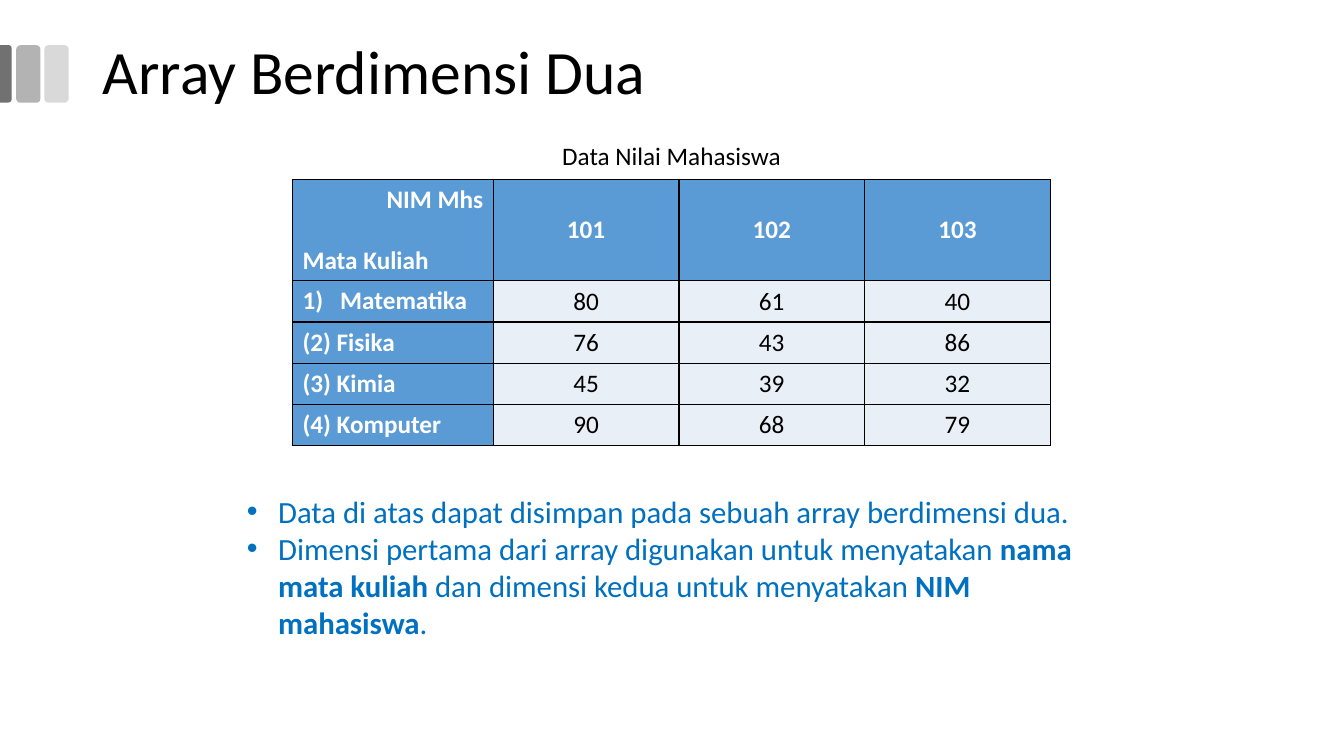
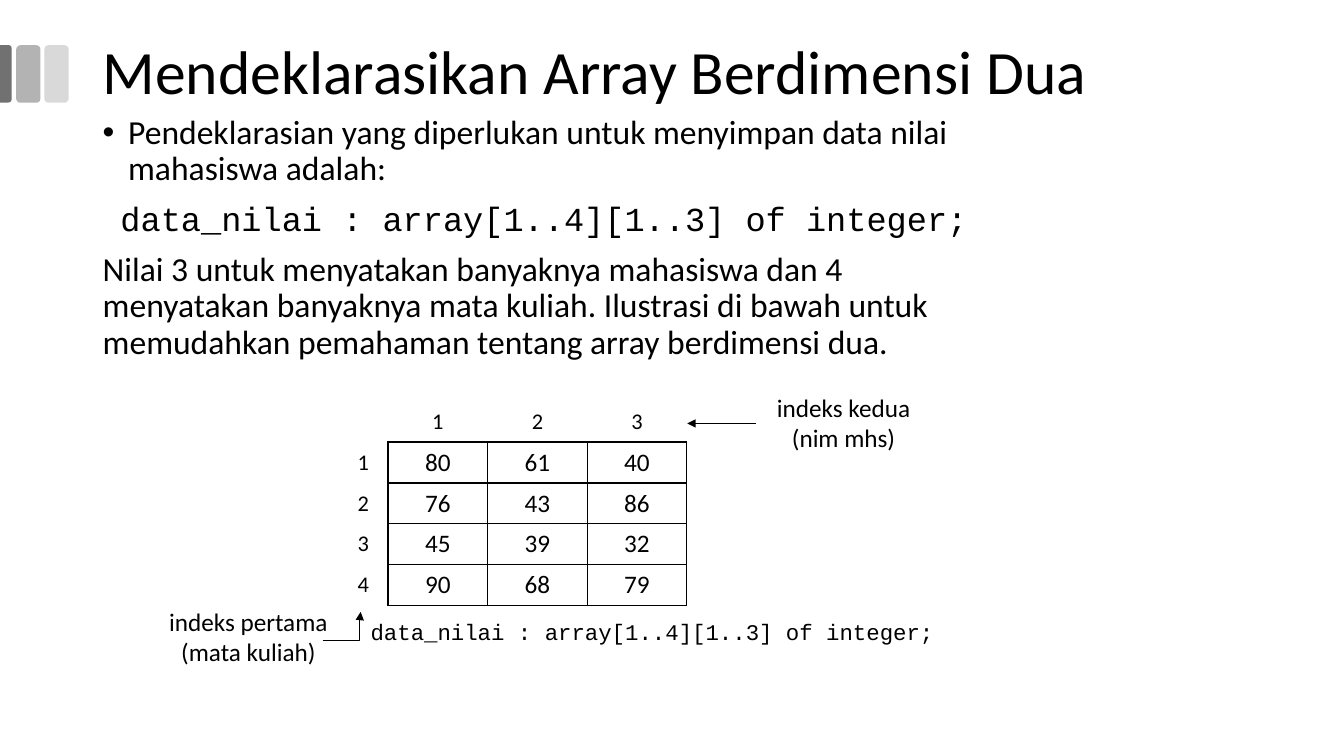
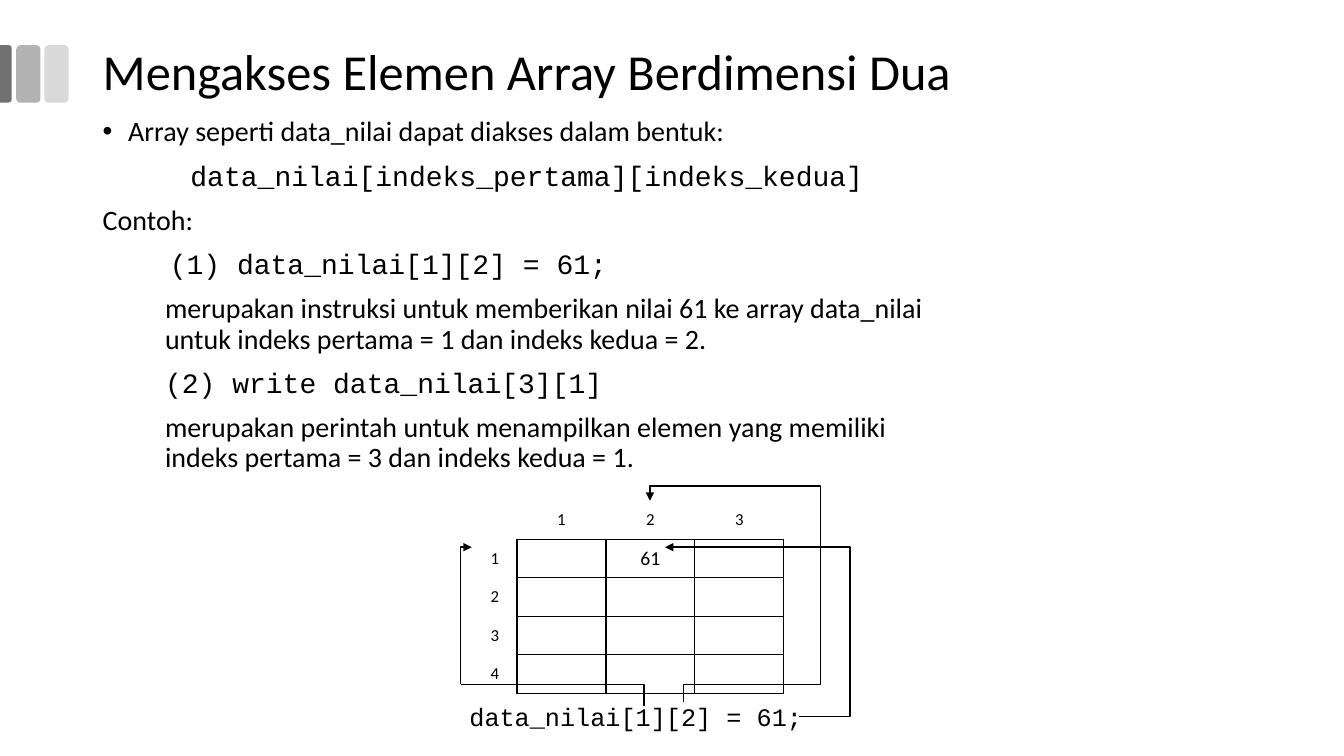
from lxml import etree
from pptx import Presentation
from pptx.dml.color import RGBColor
from pptx.enum.shapes import MSO_CONNECTOR, MSO_SHAPE
from pptx.enum.text import MSO_ANCHOR, PP_ALIGN
from pptx.oxml.ns import qn
from pptx.util import Cm, Pt

LEFT, MID, RIGHT = PP_ALIGN.LEFT, PP_ALIGN.CENTER, PP_ALIGN.RIGHT
TOP, CENTER = MSO_ANCHOR.TOP, MSO_ANCHOR.MIDDLE
STRAIGHT, ELBOW = MSO_CONNECTOR.STRAIGHT, MSO_CONNECTOR.ELBOW
ROUND, HALF = MSO_SHAPE.ROUNDED_RECTANGLE, MSO_SHAPE.ROUND_2_SAME_RECTANGLE

SANS, MONO = "Calibri", "Courier New"
BLACK, WHITE, BLUE = "000000", "FFFFFF", "0070C0"
HEAD, PALE = "5B9BD5", "E9EFF7"
DOT = ("buChar", "char", "•")
NUM = ("buAutoNum", "type", "arabicParenR")

# Content
TITLES = [
    ("Array Berdimensi Dua", 44),
    ("Mendeklarasikan Array Berdimensi Dua", 44),
    ("Mengakses Elemen Array Berdimensi Dua", 36),
]
NIMS = ["101", "102", "103"]
COURSES = ["Matematika", "(2) Fisika", "(3) Kimia", "(4) Komputer"]
SCORES = [[80, 61, 40], [76, 43, 86], [45, 39, 32], [90, 68, 79]]
ONE = [["", 61, ""]] + [["", "", ""]] * 3
DECL = "data_nilai : array[1..4][1..3] of integer;"

# Each paragraph: its runs, then its format
NOTES = [
    (["Data di atas dapat disimpan pada sebuah array berdimensi dua."], {}),
    (["Dimensi pertama dari array digunakan untuk menyatakan ",
      ("nama mata kuliah ", True),
      "dan dimensi kedua untuk menyatakan ",
      ("NIM mahasiswa", True), "."], {}),
]
DECLARE = [
    (["Pendeklarasian yang diperlukan untuk menyimpan data nilai mahasiswa adalah:"],
     dict(mark=DOT, hang=0.64)),
    ([DECL], dict(font=MONO, align=MID)),
    (["Nilai 3 untuk menyatakan banyaknya mahasiswa dan 4 menyatakan banyaknya "
      "mata kuliah. Ilustrasi di bawah untuk memudahkan pemahaman tentang "
      "array berdimensi dua."], {}),
]
ACCESS = [
    (["Array seperti data_nilai dapat diakses dalam bentuk:"],
     dict(mark=DOT, hang=0.64)),
    (["data_nilai[indeks_pertama][indeks_kedua]"], dict(font=MONO, align=MID)),
    (["Contoh:"], {}),
    (["(1) data_nilai[1][2] = 61;"], dict(font=MONO, indent=1.69)),
    (["merupakan instruksi untuk memberikan nilai 61 ke array data_nilai "
      "untuk indeks pertama = 1 dan indeks kedua = 2."], dict(indent=1.57)),
    (["(2) write data_nilai[3][1]"], dict(font=MONO, indent=1.57)),
    (["merupakan perintah untuk menampilkan elemen yang memiliki "
      "indeks pertama = 3 dan indeks kedua = 1."], dict(indent=1.57)),
]
FIRST = [(["indeks pertama"], {}), (["(mata kuliah)"], {})]
SECOND = [(["indeks kedua"], {}), (["(nim mhs)"], {})]

# Elbow arrows of the access slide: start, end, bend, arrowhead, upright
PATHS = [
    ((16.23, 17.78), (11.61, 17.25), 0, False, False),
    ((11.61, 17.25), (11.89, 13.79), 0, True, False),
    ((17.22, 17.68), (20.68, 17.25), 0, False, False),
    ((20.68, 17.25), (16.38, 12.62), 1.08, True, True),
    ((20.14, 18.06), (16.76, 13.79), -0.38, True, False),
]


def rgb(code):
    return RGBColor.from_string(code)


def sub(node, tag, **attrs):
    return etree.SubElement(node, qn("a:" + tag), attrs)


def write(frame, paras, **base):
    """Fill a text frame; base holds the format its paragraphs share."""
    for i, (runs, own) in enumerate(paras):
        opt = {**base, **own}
        para = frame.paragraphs[0] if i == 0 else frame.add_paragraph()
        para.alignment = opt.get("align", LEFT)
        para.line_spacing = opt.get("line", 1.0)
        para.space_before = Pt(opt.get("before", 0))
        hang = opt.get("hang", 0)
        props = para._p.get_or_add_pPr()
        props.set("marL", str(Cm(opt.get("indent", hang))))
        props.set("indent", str(-Cm(hang)))
        if "mark" in opt:
            tag, key, val = opt["mark"]
            sub(props, "buFont", typeface="Arial" if tag == "buChar" else SANS)
            sub(props, tag, **{key: val})
        for part in runs:
            text, bold = part if isinstance(part, tuple) else (part, opt.get("bold", False))
            run = para.add_run()
            run.text = text
            run.font.name = opt.get("font", SANS)
            run.font.size = Pt(opt["size"])
            run.font.bold = bold
            run.font.color.rgb = rgb(opt.get("color", BLACK))


def box(slide, at, paras, wrap=True, anchor=TOP, **base):
    frame = slide.shapes.add_textbox(*map(Cm, at)).text_frame
    frame.word_wrap = wrap
    frame.vertical_anchor = anchor
    write(frame, paras, **base)


def edge(cell, sides):
    props = cell._tc.get_or_add_tcPr()
    for i, side in enumerate(s for s in "LRTB" if s in sides):
        line = etree.Element(qn("a:ln" + side), w=str(Pt(0.96)))
        sub(sub(line, "solidFill"), "srgbClr", val=BLACK)
        props.insert(i, line)


def table(slide, at, cols, rows):
    size = sum(cols), sum(rows)
    grid = slide.shapes.add_table(len(rows), len(cols), *map(Cm, at + size)).table
    grid.first_row = grid.horz_banding = False
    for col, width in zip(grid.columns, cols):
        col.width = Cm(width)
    for row, height in zip(grid.rows, rows):
        row.height = Cm(height)
    return grid


def arrow(slide, start, end, width, bend=None, head=True, upright=False):
    """Draw a straight line, or an elbow when a bend is given."""
    if upright:
        # A quarter turn about the centre makes the elbow start upright
        mx, my = [(a + b) / 2 for a, b in zip(start, end)]
        start, end = [(mx - (y - my), my + (x - mx)) for x, y in (start, end)]
    kind = STRAIGHT if bend is None else ELBOW
    line = slide.shapes.add_connector(kind, *map(Cm, start + end))
    line.line.color.rgb = rgb(BLACK)
    line.line.width = Pt(width)
    props = line.element.spPr
    if upright:
        props.find(qn("a:xfrm")).set("rot", "16200000")
    if bend is not None:
        guides = props.find(".//" + qn("a:avLst"))
        sub(guides, "gd", name="adj1", fmla=f"val {round(bend * 100000)}")
    if head:
        sub(props.find(qn("a:ln")), "tailEnd", type="triangle")
    sub(props, "effectLst")


def band(slide, kind, at, color, turn=0):
    shape = slide.shapes.add_shape(kind, *map(Cm, at))
    shape.shadow.inherit = False
    shape.fill.solid()
    shape.fill.fore_color.rgb = rgb(color)
    shape.line.fill.background()
    shape.rotation = turn
    shape.adjustments[0] = 0.29 if turn else 0.17


def start(deck, title, size):
    """Add a slide with the shared bands and title."""
    slide = deck.slides.add_slide(deck.slide_layouts[6])
    for left, color in [(1.12, "D9D9D9"), (0.41, "B3B3B3")]:
        band(slide, ROUND, (left, 1.14, 0.61, 1.45), color)
    band(slide, HALF, (-0.58, 1.71, 1.45, 0.3), "717171", 90)
    box(slide, (2.34, 0.03, 29.21, 3.68), [([title], {})],
        anchor=CENTER, size=size, line=0.9)
    return slide


def scores(slide):
    """Draw the coloured table of scores."""
    grid = table(slide, (7.37, 4.52), (5.06,) + (4.68,) * 3, (2.52,) + (1.04,) * 4)
    corner = [(["NIM Mhs"], dict(align=RIGHT)), (["Mata Kuliah"], dict(before=22))]
    rows = [[corner] + [[([nim], {})] for nim in NIMS]]
    for i, (course, vals) in enumerate(zip(COURSES, SCORES)):
        look = dict(mark=NUM, hang=0.95) if i == 0 else {}
        rows.append([[([course], look)]] + [[([str(v)], {})] for v in vals])
    for r, row in enumerate(rows):
        for c, paras in enumerate(row):
            cell, label = grid.cell(r, c), r == 0 or c == 0
            cell.fill.solid()
            cell.fill.fore_color.rgb = rgb(HEAD if label else PALE)
            cell.vertical_anchor = CENTER if c else TOP
            write(cell.text_frame, paras, size=18, bold=label,
                  color=WHITE if label else BLACK, align=MID if c else LEFT)
            edge(cell, "LRTB")


def matrix(slide, at, side, width, height, vals, small, large):
    """Draw a grid of values with index numbers above and beside it."""
    grid = table(slide, at, (side,) + (width,) * 3, (height,) * 5)
    rows = [["", 1, 2, 3]] + [[i] + row for i, row in enumerate(vals, 1)]
    for r, row in enumerate(rows):
        for c, val in enumerate(row):
            cell = grid.cell(r, c)
            cell.fill.background()
            cell.vertical_anchor = CENTER
            cell.margin_top = cell.margin_bottom = 0
            if val != "":
                write(cell.text_frame, [([str(val)], {})],
                      size=large if r and c else small, align=MID)
            if r and c:
                edge(cell, "LRTB")
            elif r or c:
                edge(cell, "R" if r else "B")


def main():
    deck = Presentation()
    deck.slide_width, deck.slide_height = Cm(33.87), Cm(19.05)
    data, declare, access = [start(deck, *title) for title in TITLES]

    # Table of scores with notes
    scores(data)
    box(data, (13.92, 3.4, 6.02, 1.02), [(["Data Nilai Mahasiswa"], {})],
        wrap=False, size=18)
    box(data, (5.97, 12.29, 21.89, 3.96), NOTES,
        size=22, color=BLUE, mark=DOT, hang=0.79)

    # Declaration with its grid
    box(declare, (2.34, 2.79, 22.73, 12.09), DECLARE, size=24, line=0.9, before=10)
    matrix(declare, (8.53, 10.11), 1.25, 2.51, 1.03, SCORES, 16, 18)
    arrow(declare, (8.13, 16.15), (9.09, 15.42), 0.75, bend=0.98)
    arrow(declare, (19.05, 10.67), (17.32, 10.67), 0.75)
    for at, paras in [((4.01, 15.16, 4.5, 1.78), FIRST),
                      ((19.33, 9.75, 3.86, 1.78), SECOND)]:
        box(declare, at, paras, wrap=False, size=18, align=MID)
    box(declare, (9.07, 15.44, 14.73, 0.94), [([DECL], {})],
        wrap=False, size=16, font=MONO, align=MID)

    # Access to one element
    box(access, (2.34, 2.84, 21.89, 12.09), ACCESS, size=20, line=0.9, before=10)
    matrix(access, (11.91, 12.62), 1.12, 2.24, 0.97, ONE, 12, 14)
    box(access, (11.58, 17.55, 8.92, 1.02), [(["data_nilai[1][2] = 61;"], {})],
        wrap=False, size=18, font=MONO)
    for begin, end, bend, head, upright in PATHS:
        arrow(access, begin, end, 1, bend, head, upright)

    deck.save("out.pptx")


if __name__ == "__main__":
    main()
